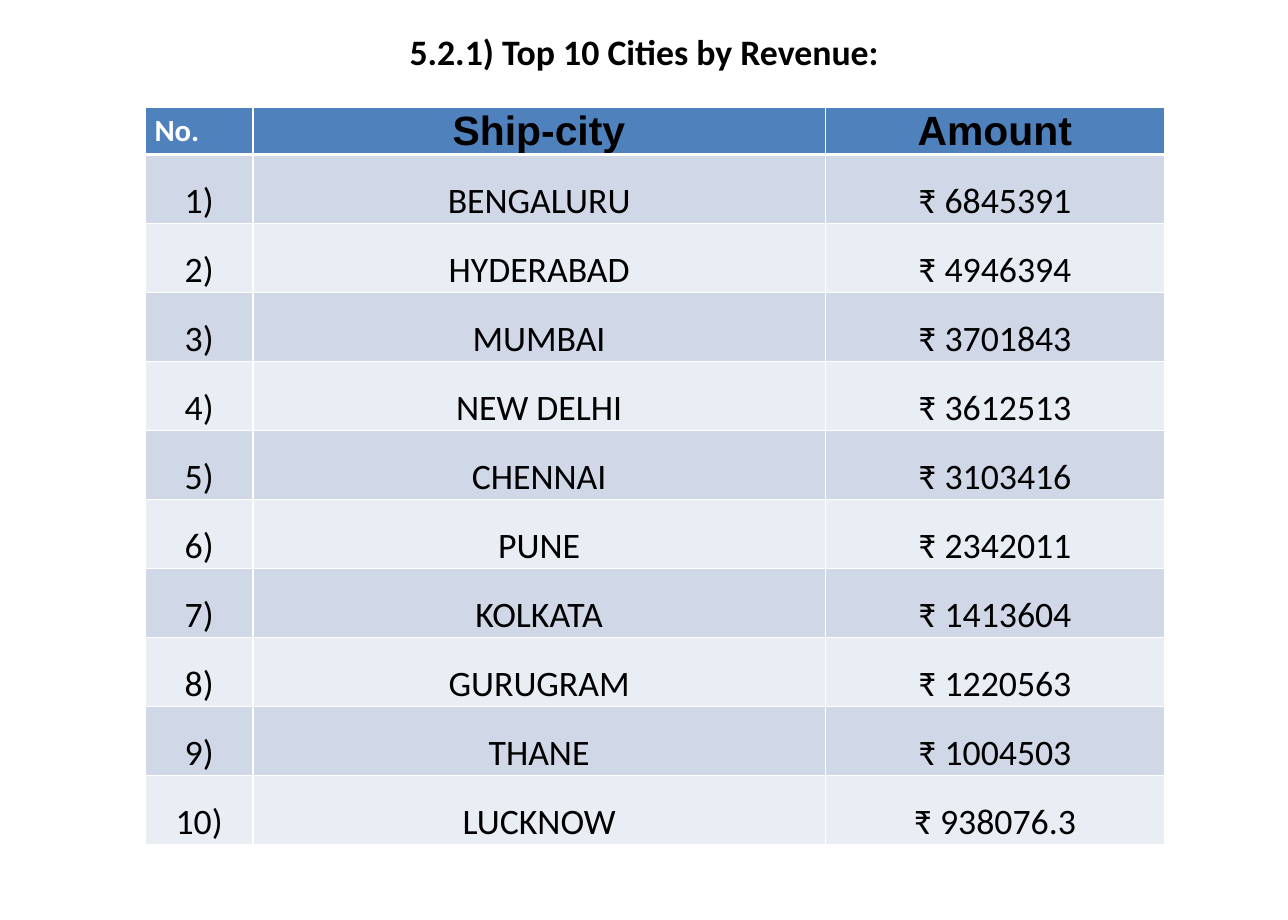
from lxml.etree import SubElement as Sub
from pptx import Presentation
from pptx.dml.color import RGBColor as RGB
from pptx.enum.text import MSO_ANCHOR as Anchor, MSO_AUTO_SIZE as Fit, PP_ALIGN as Align
from pptx.oxml.ns import qn
from pptx.util import Inches, Pt

# Content
TITLE = "5.2.1) Top 10 Cities by Revenue:"
HEAD = ("No.", "Ship-city", "Amount")
CITIES = [
    ("BENGALURU", "6845391"),
    ("HYDERABAD", "4946394"),
    ("MUMBAI", "3701843"),
    ("NEW DELHI", "3612513"),
    ("CHENNAI", "3103416"),
    ("PUNE", "2342011"),
    ("KOLKATA", "1413604"),
    ("GURUGRAM", "1220563"),
    ("THANE", "1004503"),
    ("LUCKNOW", "938076.3"),
]
COLORS = {"head": "4F81BD", "odd": "D0D8E8", "even": "E9EDF4",
          "white": "FFFFFF", "black": "000000"}
WIDTHS = (1.17, 6.22, 3.69)
HEAD_H, ROW_H = 0.42, 0.75


def style(para, size, font="Calibri", color="black", bold=False):
    for run in para.runs:
        run.font.size = Pt(size)
        run.font.name = font
        run.font.bold = bold
        run.font.color.rgb = RGB.from_string(COLORS[color])


def border(cell, top, bottom):
    props = cell._tc.get_or_add_tcPr()
    for side, width in (("L", 1), ("R", 1), ("T", top), ("B", bottom)):
        line = Sub(props, qn(f"a:ln{side}"), w=str(Pt(width)))
        fill = Sub(line, qn("a:solidFill"))
        Sub(fill, qn("a:srgbClr"), val=COLORS["white"])


def paint(cell, color):
    cell.fill.solid()
    cell.fill.fore_color.rgb = RGB.from_string(COLORS[color])


def center(cell):
    cell.vertical_anchor = Anchor.BOTTOM
    cell.margin_left = cell.margin_right = cell.margin_top = Inches(0.01)
    cell.margin_bottom = 0
    cell.text_frame.paragraphs[0].alignment = Align.CENTER


deck = Presentation()
deck.slide_width, deck.slide_height = Inches(14), Inches(10)
slide = deck.slides.add_slide(deck.slide_layouts[5])

# Title
title = slide.shapes.title
title.left, title.top = 0, Inches(0.27)
title.width, title.height = Inches(14), Inches(0.57)
frame = title.text_frame
frame.text = TITLE
frame.word_wrap = True
frame.auto_size = Fit.NONE
frame.vertical_anchor = Anchor.TOP
frame.paragraphs[0].alignment = Align.CENTER
style(frame.paragraphs[0], 28, bold=True)

# Table grid
rows = [HEAD] + [(f"{n})", city, f"₹ {sum_}")
                 for n, (city, sum_) in enumerate(CITIES, 1)]
height = HEAD_H + ROW_H * len(CITIES)
table = slide.shapes.add_table(len(rows), len(HEAD), Inches(1.58), Inches(1.17),
                               Inches(sum(WIDTHS)), Inches(height)).table
for col, width in zip(table.columns, WIDTHS):
    col.width = Inches(width)

# Table cells
for r, row in enumerate(rows):
    table.rows[r].height = Inches(ROW_H if r else HEAD_H)
    band = "head" if r == 0 else "odd" if r % 2 else "even"
    for c, text in enumerate(row):
        cell = table.cell(r, c)
        cell.text_frame.text = text
        border(cell, top=3 if r == 1 else 1, bottom=3 if r == 0 else 1)
        paint(cell, band)
        para = cell.text_frame.paragraphs[0]
        if r:
            style(para, 28)
        elif c:
            style(para, 32, font="Arial", bold=True)
        else:
            style(para, 24, color="white", bold=True)
        if r or c:
            center(cell)

deck.save("out.pptx")
